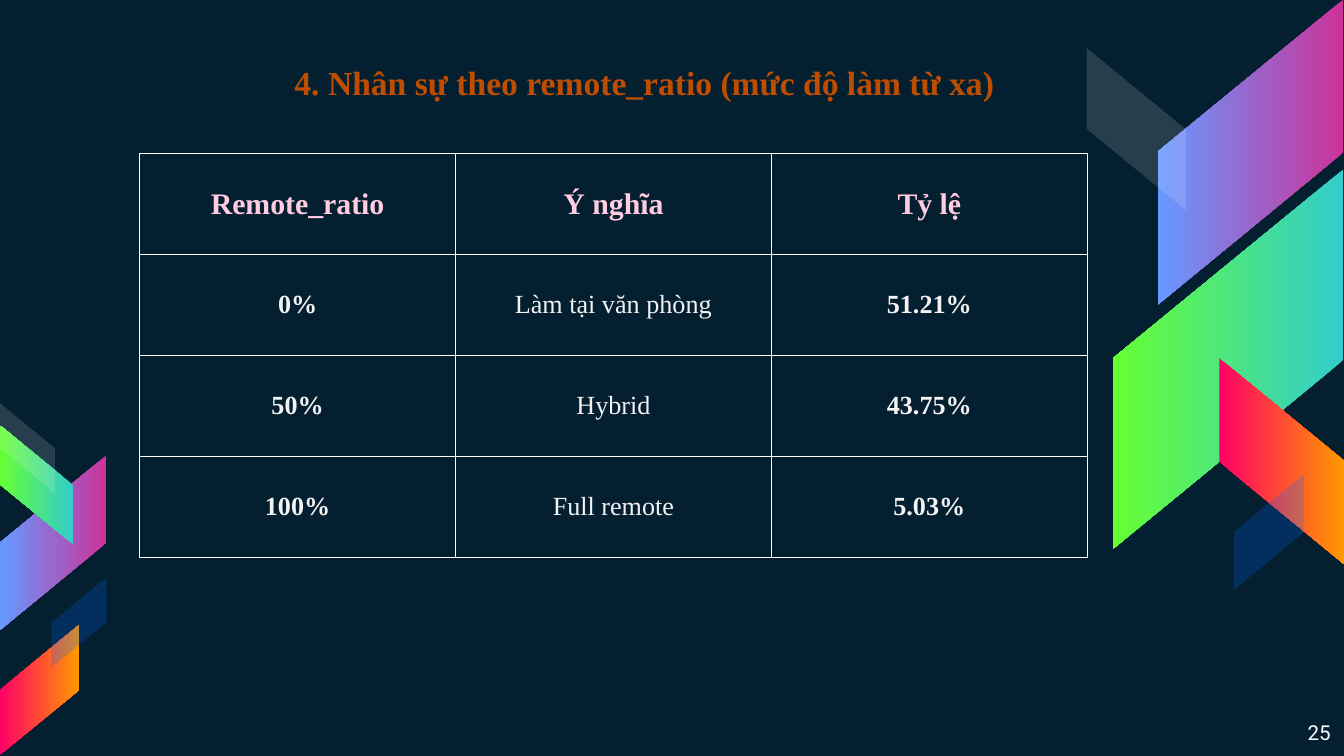
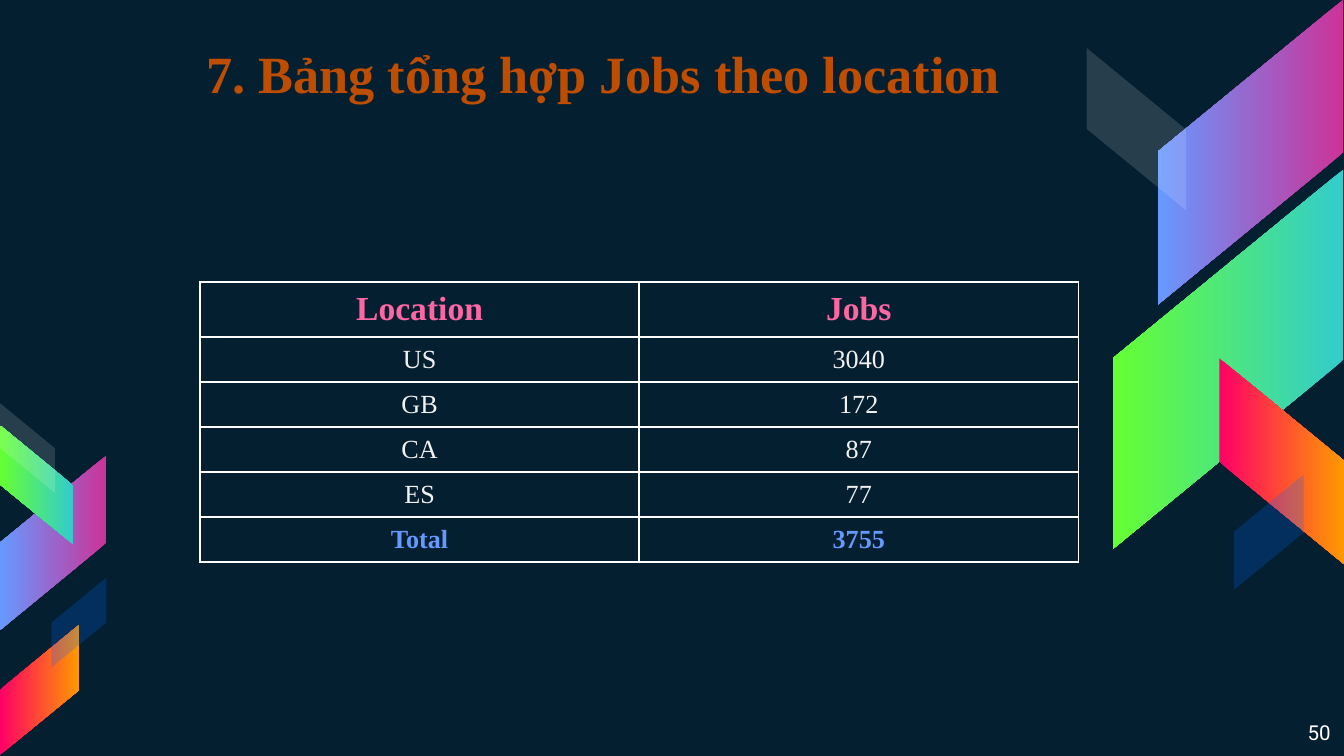
from lxml import etree
from pptx import Presentation
from pptx.dml.color import RGBColor
from pptx.enum.shapes import MSO_SHAPE
from pptx.enum.text import MSO_ANCHOR, MSO_AUTO_SIZE, PP_ALIGN
from pptx.oxml.ns import qn
from pptx.util import Cm, Pt

PARALLELOGRAM = MSO_SHAPE.PARALLELOGRAM
MIDDLE = MSO_ANCHOR.MIDDLE
CENTER, RIGHT = PP_ALIGN.CENTER, PP_ALIGN.RIGHT
NO_AUTOFIT = MSO_AUTO_SIZE.NONE
TITLE_ONLY = 5

COLORS = {
    "night": "041F30", "white": "FFFFFF", "light": "F2F2F2",
    "rust": "BF4D00", "blush": "FFCCE0", "pink": "FF66A3",
    "magenta": "CC3399", "sky": "6699FF", "teal": "33CCCC",
    "lime": "66FF33", "crimson": "FF0066", "amber": "FF9900",
    "royal": "0066FF",
}
SERIF, SANS = "Times New Roman", "Roboto"
INSET = Cm(0.25)

ORCHID = ("magenta", "sky")
GREEN = ("teal", "lime")
FIRE = ("crimson", "amber")
GLASS = ("white", 14)
SHADE = ("royal", 23)

RIGHT_RIBBONS = [
    (20.75, 1.12, 5.77, 3.51, 90, True, ORCHID),
    (19.63, 4.62, 7.16, 4.34, 90, True, GREEN),
    (22.28, 7.54, 3.89, 2.36, 270, False, FIRE),
    (19.94, 1.5, 3.07, 1.88, 270, False, GLASS),
    (22.89, 9.4, 2.18, 1.32, 270, True, SHADE),
]
LEFT_RIBBONS = [
    (-0.64, 9.25, 3.3, 2.01, 90, True, ORCHID),
    (-0.43, 8.48, 2.24, 1.37, 90, False, GREEN),
    (-0.48, 12.29, 2.46, 1.5, 270, True, FIRE),
    (-0.33, 7.95, 1.7, 1.04, 270, False, GLASS),
    (0.64, 11.25, 1.7, 1.04, 270, True, SHADE),
]


def rgb(color):
    return RGBColor.from_string(COLORS[color])


class Deck:
    def __init__(self):
        self.prs = Presentation()
        self.prs.slide_width = Cm(25.4)
        self.prs.slide_height = Cm(14.29)
        backdrop = self.prs.slide_master.background.fill
        backdrop.solid()
        backdrop.fore_color.rgb = rgb("night")
        self.slide = None

    def new_slide(self, number):
        self.slide = self.prs.slides.add_slide(self.prs.slide_layouts[TITLE_ONLY])
        for ribbons in (RIGHT_RIBBONS, LEFT_RIBBONS):
            cluster = self.slide.shapes.add_group_shape()
            for ribbon in ribbons:
                self.ribbon(cluster, *ribbon)
        self.page_number(number)

    def ribbon(self, cluster, left, top, width, height, turn, flipped, paint):
        band = cluster.shapes.add_shape(
            PARALLELOGRAM, Cm(left), Cm(top), Cm(width), Cm(height))
        band.adjustments[0] = 0.82
        band.rotation = turn
        band.shadow.inherit = False
        band.line.fill.background()
        if flipped:
            band._element.spPr.find(qn("a:xfrm")).set("flipH", "1")
        color, second = paint
        if second in COLORS:
            band.fill.gradient()
            band.fill.gradient_angle = 270
            for stop, shade in zip(band.fill.gradient_stops, paint):
                stop.color.rgb = rgb(shade)
        else:
            band.fill.solid()
            band.fill.fore_color.rgb = rgb(color)
            tint = band._element.spPr.find(".//" + qn("a:srgbClr"))
            etree.SubElement(tint, qn("a:alpha")).set("val", str(second * 1000))

    def add_text(self, frame, text, size, color, align, font=SERIF, bold=False):
        paragraph = frame.paragraphs[0]
        paragraph.alignment = align
        run = paragraph.add_run()
        run.text = text
        run.font.name = font
        run.font.size = Pt(size)
        run.font.bold = bold
        run.font.color.rgb = rgb(color)

    def pad(self, frame):
        frame.word_wrap = True
        frame.auto_size = NO_AUTOFIT
        frame.margin_left = frame.margin_right = INSET
        frame.margin_top = frame.margin_bottom = INSET

    def title(self, text, left, top, width, height, size):
        heading = self.slide.shapes.title
        heading.left, heading.top = Cm(left), Cm(top)
        heading.width, heading.height = Cm(width), Cm(height)
        self.pad(heading.text_frame)
        heading.text_frame.vertical_anchor = MIDDLE
        self.add_text(heading.text_frame, text, size, "rust", CENTER, bold=True)

    def page_number(self, number):
        corner = self.slide.shapes.add_textbox(
            Cm(23.77), Cm(13.36), Cm(1.63), Cm(0.91))
        self.pad(corner.text_frame)
        self.add_text(corner.text_frame, str(number), 11, "white", RIGHT, SANS)

    def table(self, rows, left, top, column_width, row_heights, style):
        columns = len(rows[0])
        grid = self.slide.shapes.add_table(
            len(rows), columns, Cm(left), Cm(top),
            Cm(column_width * columns), Cm(sum(row_heights))).table
        grid.first_row = grid.horz_banding = False
        for column in grid.columns:
            column.width = Cm(column_width)
        for r, (values, height) in enumerate(zip(rows, row_heights)):
            grid.rows[r].height = Cm(height)
            for c, value in enumerate(values):
                cell = grid.cell(r, c)
                cell.vertical_anchor = MIDDLE
                self.borders(cell)
                cell.fill.background()
                size, color, bold = style(r, c)
                self.add_text(cell.text_frame, value, size, color, CENTER, bold=bold)

    def borders(self, cell):
        properties = cell._tc.get_or_add_tcPr()
        for side in ("lnL", "lnR", "lnT", "lnB"):
            edge = etree.SubElement(properties, qn("a:" + side), w=str(Pt(1)))
            paint = etree.SubElement(edge, qn("a:solidFill"))
            etree.SubElement(paint, qn("a:srgbClr"), val=COLORS["white"])


def remote_style(row, column):
    if row == 0:
        return 16, "blush", True
    return 14, "light", column != 1


def location_style(row, column):
    if row == 0:
        return 18, "pink", True
    if row == len(LOCATION_JOBS) - 1:
        return 14, "sky", True
    return 14, "light", False


REMOTE_RATIOS = [
    ("Remote_ratio", "Ý nghĩa", "Tỷ lệ"),
    ("0%", "Làm tại văn phòng", "51.21%"),
    ("50%", "Hybrid", "43.75%"),
    ("100%", "Full remote", "5.03%"),
]
LOCATION_JOBS = [
    ("Location", "Jobs"),
    ("US", "3040"),
    ("GB", "172"),
    ("CA", "87"),
    ("ES", "77"),
    ("Total", "3755"),
]


def main():
    deck = Deck()

    deck.new_slide(25)
    deck.title("4. Nhân sự theo remote_ratio (mức độ làm từ xa)",
               3, 0.2, 18.36, 2.69, 18)
    deck.table(REMOTE_RATIOS, 2.64, 2.9, 5.97, [1.91] * 4, remote_style)

    deck.new_slide(50)
    deck.title("7. Bảng tổng hợp Jobs theo location",
               2.41, 0.64, 17.98, 1.45, 28)
    deck.table(LOCATION_JOBS, 3.78, 5.33, 8.3, [1.04] + [0.85] * 5,
               location_style)

    deck.prs.save("out.pptx")


if __name__ == "__main__":
    main()
